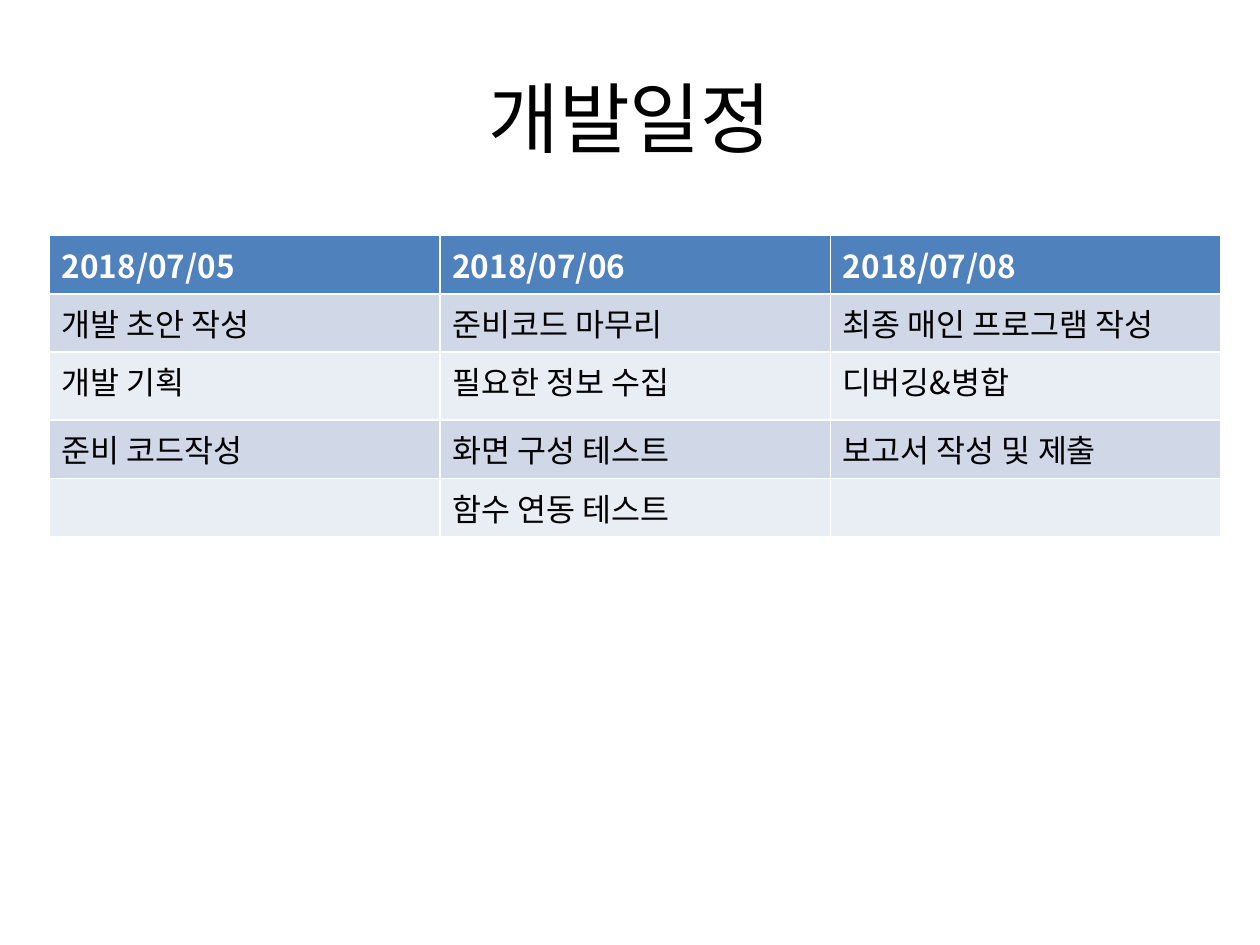
from dataclasses import dataclass

from lxml.etree import SubElement
from pptx import Presentation
from pptx.dml.color import RGBColor
from pptx.enum.text import MSO_ANCHOR, PP_ALIGN
from pptx.oxml.ns import qn
from pptx.util import Inches, Pt

FONT = "Noto Sans CJK KR"


@dataclass(frozen=True)
class RowStyle:
    """Look of one table row."""
    fill: str
    color: str
    bold: bool = False


HEADER = RowStyle("4F81BD", "FFFFFF", True)
BANDS = (RowStyle("D0D8E8", "000000"), RowStyle("E9EDF4", "000000"))

SCHEDULE = (
    ("2018/07/05", "2018/07/06", "2018/07/08"),
    ("개발 초안 작성", "준비코드 마무리", "최종 매인 프로그램 작성"),
    ("개발 기획", "필요한 정보 수집", "디버깅&병합"),
    ("준비 코드작성", "화면 구성 테스트", "보고서 작성 및 제출"),
    ("", "함수 연동 테스트", ""),
)
ROW_HEIGHTS = (0.31, 0.31, 0.54, 0.31, 0.31)
COL_WIDTH = 3.1


def rgb(color: str) -> RGBColor:
    """Turn a hex string into a colour."""
    return RGBColor.from_string(color)


def write(tf, text: str, size: float, color: str, bold: bool = False):
    """Write one formatted paragraph and return it."""
    p = tf.paragraphs[0]
    p.font.size = Pt(size)
    p.font.bold = bold
    p.font.color.rgb = rgb(color)
    p.font.name = FONT
    if text:
        r = p.add_run()
        r.text = text
        r.font.name = FONT
        SubElement(r.font._element, qn("a:ea"), typeface=FONT)
    return p


def add_title(s, text: str) -> None:
    """Place the centred slide title."""
    sp = s.shapes.title
    sp.left, sp.top = Inches(0.5), Inches(0.3)
    sp.width, sp.height = Inches(9), Inches(1.25)
    tf = sp.text_frame
    tf.vertical_anchor = MSO_ANCHOR.MIDDLE
    write(tf, text, 44, "000000").alignment = PP_ALIGN.CENTER


def add_schedule(s) -> None:
    """Draw the schedule; the table style supplies the white borders."""
    cols = len(SCHEDULE[0])
    table = s.shapes.add_table(
        len(SCHEDULE), cols, Inches(0.39), Inches(1.87),
        Inches(COL_WIDTH * cols), Inches(sum(ROW_HEIGHTS))).table
    for col in table.columns:
        col.width = Inches(COL_WIDTH)
    for i, (row, texts) in enumerate(zip(table.rows, SCHEDULE)):
        row.height = Inches(ROW_HEIGHTS[i])
        style = BANDS[(i - 1) % 2] if i else HEADER
        for cell, text in zip(row.cells, texts):
            cell.fill.solid()
            cell.fill.fore_color.rgb = rgb(style.fill)
            write(cell.text_frame, text, 18, style.color, style.bold)


prs = Presentation()
prs.slide_width, prs.slide_height = Inches(10), Inches(7.5)
s = prs.slides.add_slide(prs.slide_layouts[5])
add_title(s, "개발일정")
add_schedule(s)
prs.save("out.pptx")
